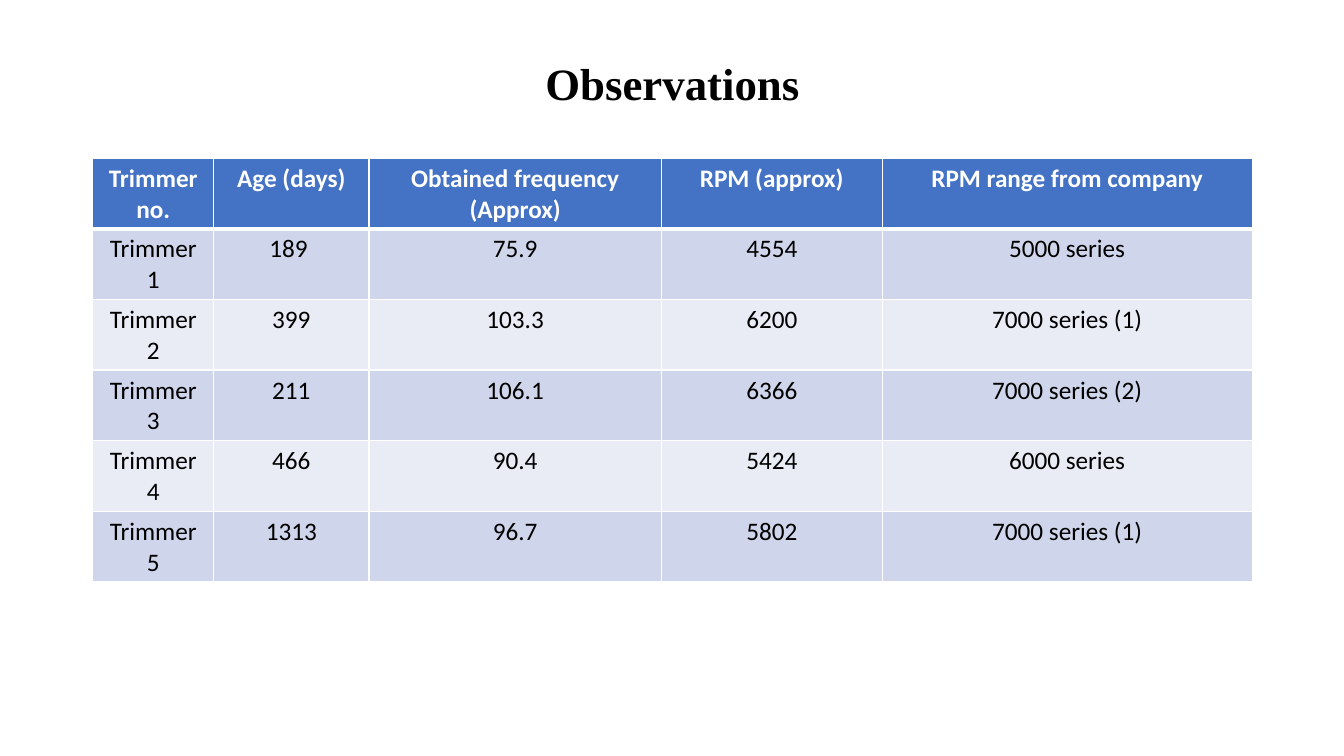
from lxml import etree
from pptx import Presentation
from pptx.dml.color import RGBColor
from pptx.enum import text
from pptx.oxml import ns
from pptx.util import Inches, Pt

COLORS = {"header": "4472C4", "odd": "CFD5EA", "even": "E9EBF5",
          "white": "FFFFFF", "black": "000000"}
COLUMN_WIDTHS = [1.2, 1.54, 2.9, 2.19, 3.67]
ROW_HEIGHT = 0.7
HEADERS = ["Trimmer no.", "Age (days)", "Obtained frequency (Approx)",
           "RPM (approx)", "RPM range from company"]
OBSERVATIONS = [
    ["Trimmer 1", "189 ", "75.9", "4554", "5000 series"],
    ["Trimmer 2", "399", "103.3", "6200", "7000 series (1)"],
    ["Trimmer 3", "211", "106.1", "6366", "7000 series (2)"],
    ["Trimmer 4", "466", "90.4", "5424", "6000 series"],
    ["Trimmer 5", "1313", "96.7", "5802", "7000 series (1)"],
]


def rgb(name):
    """Return the named colour."""
    return RGBColor.from_string(COLORS[name])


def write(tf, words, font, size, color, bold):
    """Put one centred, formatted paragraph in a text frame."""
    tf.text = words
    p = tf.paragraphs[0]
    p.alignment = text.PP_ALIGN.CENTER
    r = p.runs[0]
    r.font.name, r.font.size, r.font.bold = font, Pt(size), bold
    r.font.color.rgb = rgb(color)
    return p


def add_title(s, words):
    """Add the slide heading."""
    box = s.shapes.add_textbox(Inches(0.92), Inches(0.4), Inches(11.5), Inches(0.9))
    tf = box.text_frame
    tf.word_wrap = True
    tf.vertical_anchor = text.MSO_ANCHOR.MIDDLE
    write(tf, words, "Times New Roman", 32, "black", True).line_spacing = 0.9


def set_borders(cell, top, bottom):
    """Draw white cell borders with the given top and bottom widths in points."""
    tc_pr = cell._tc.get_or_add_tcPr()
    sides = [("lnL", 1), ("lnR", 1), ("lnT", top), ("lnB", bottom)]
    for i, (side, width) in enumerate(sides):
        ln = etree.Element(ns.qn(f"a:{side}"), w=str(Pt(width)))
        fill = etree.SubElement(ln, ns.qn("a:solidFill"))
        etree.SubElement(fill, ns.qn("a:srgbClr"), val=COLORS["white"])
        tc_pr.insert(i, ln)


def add_table(s, rows):
    """Add a table with a header row and banded body rows."""
    frame = s.shapes.add_table(len(rows), len(COLUMN_WIDTHS), Inches(0.92), Inches(1.57),
                               Inches(sum(COLUMN_WIDTHS)), Inches(ROW_HEIGHT * len(rows)))
    table = frame.table
    for column, width in zip(table.columns, COLUMN_WIDTHS):
        column.width = Inches(width)
    for i, row in enumerate(rows):
        header = i == 0
        fill = "header" if header else "odd" if i % 2 else "even"
        for j, words in enumerate(row):
            cell = table.cell(i, j)
            cell.fill.solid()
            cell.fill.fore_color.rgb = rgb(fill)
            write(cell.text_frame, words, "Calibri", 18,
                  "white" if header else "black", header)
            set_borders(cell, 3 if i == 1 else 1, 3 if header else 1)


def main():
    """Build and save the observations slide."""
    prs = Presentation()
    prs.slide_width, prs.slide_height = Inches(13.33), Inches(7.5)
    s = prs.slides.add_slide(prs.slide_layouts[6])
    add_title(s, "Observations")
    add_table(s, [HEADERS] + OBSERVATIONS)
    prs.save("out.pptx")


if __name__ == "__main__":
    main()
